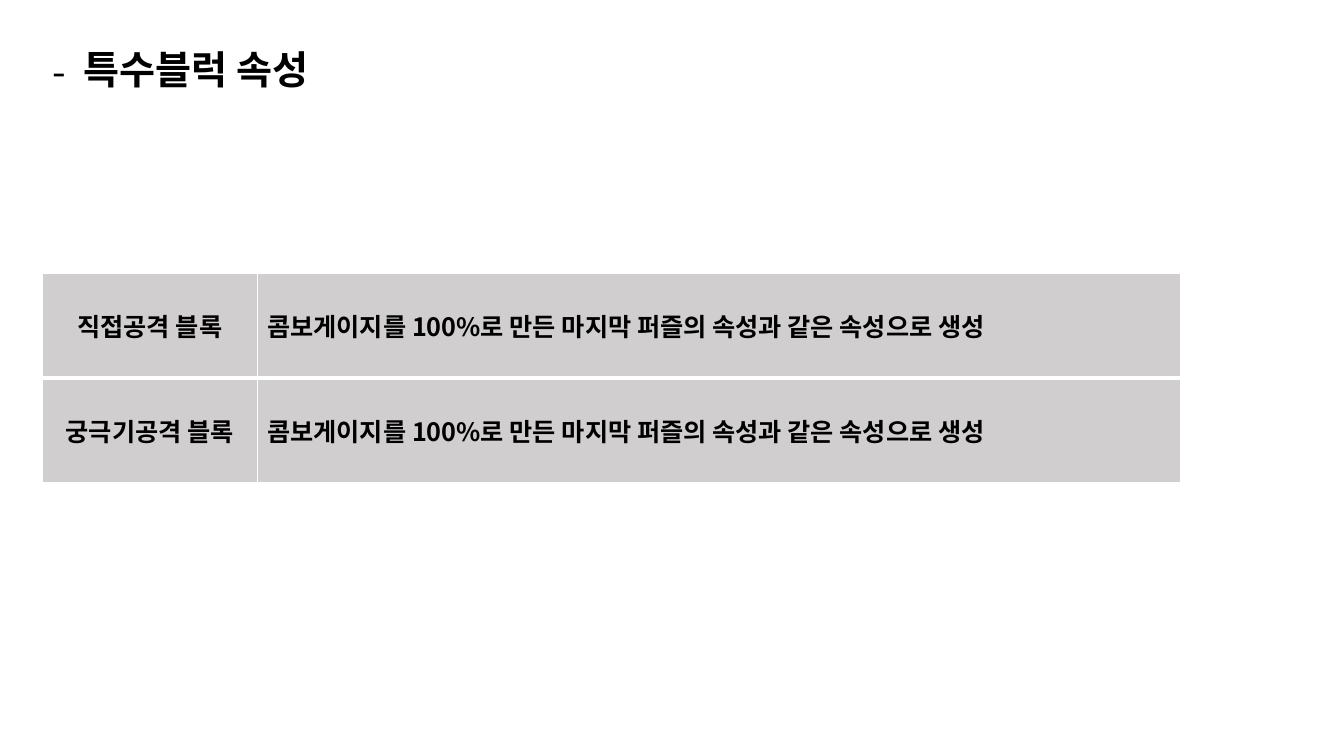
from dataclasses import dataclass

from lxml.etree import SubElement, Element
from pptx import Presentation
from pptx.dml.color import RGBColor
from pptx.enum.text import MSO_ANCHOR as Anchor, MSO_AUTO_SIZE as AutoSize, PP_ALIGN as Align
from pptx.oxml.ns import qn
from pptx.slide import Slide
from pptx.table import _Cell as Cell
from pptx.text.text import TextFrame, _Paragraph as Paragraph
from pptx.util import Cm, Pt


@dataclass(frozen=True)
class Theme:
    font: str = "Noto Sans CJK KR"
    text: str = "000000"
    cell: str = "D0CECE"
    border: str = "FFFFFF"
    title_size: int = 28
    body_size: int = 18
    thin: int = 1
    thick: int = 3


@dataclass(frozen=True)
class BlockRule:
    name: str
    rule: str


THEME = Theme()
SAME_ATTRIBUTE = "콤보게이지를 100%로 만든 마지막 퍼즐의 속성과 같은 속성으로 생성"
BLOCK_RULES = [
    BlockRule("직접공격 블록", SAME_ATTRIBUTE),
    BlockRule("궁극기공격 블록", SAME_ATTRIBUTE),
]
LEFT = Cm(1.07)
COLUMN_WIDTHS = [Cm(5.41), Cm(23.27)]
ROW_HEIGHT = Cm(2.64)


def write_text(frame: TextFrame, text: str, *, size: int, align: Align = Align.LEFT) -> Paragraph:
    paragraph = frame.paragraphs[0]
    paragraph.alignment = align
    run = paragraph.add_run()
    run.text = text
    run.font.name = THEME.font
    run.font.size = Pt(size)
    run.font.bold = True
    run.font.color.rgb = RGBColor.from_string(THEME.text)
    SubElement(run.font._element, qn("a:ea"), typeface=THEME.font)
    return paragraph


def add_dash_bullet(paragraph: Paragraph, indent: int) -> None:
    properties = paragraph._p.get_or_add_pPr()
    properties.set("marL", str(indent))
    properties.set("indent", str(-indent))
    SubElement(properties, qn("a:buFont"), typeface=THEME.font)
    SubElement(properties, qn("a:buChar"), char="-")


def set_borders(cell: Cell, *, top: int, bottom: int) -> None:
    properties = cell._tc.get_or_add_tcPr()
    widths = {"a:lnL": THEME.thin, "a:lnR": THEME.thin, "a:lnT": top, "a:lnB": bottom}
    for position, (side, width) in enumerate(widths.items()):
        line = Element(qn(side), w=str(Pt(width)))
        fill = SubElement(line, qn("a:solidFill"))
        SubElement(fill, qn("a:srgbClr"), val=THEME.border)
        properties.insert(position, line)


def add_title(slide: Slide, text: str) -> None:
    title = slide.shapes.title
    title.left, title.top, title.width, title.height = LEFT, Cm(1.14), Cm(31.47), Cm(1.45)
    frame = title.text_frame
    frame.word_wrap = True
    frame.auto_size = AutoSize.SHAPE_TO_FIT_TEXT
    frame.vertical_anchor = Anchor.TOP
    paragraph = write_text(frame, text, size=THEME.title_size)
    paragraph.line_spacing = 0.9
    add_dash_bullet(paragraph, Cm(0.79))


def add_rule_table(slide: Slide, rules: list[BlockRule]) -> None:
    table = slide.shapes.add_table(
        len(rules), len(COLUMN_WIDTHS), LEFT, Cm(6.88),
        sum(COLUMN_WIDTHS), ROW_HEIGHT * len(rules),
    ).table
    table.first_row = table.horz_banding = False
    for column, width in zip(table.columns, COLUMN_WIDTHS):
        column.width = width

    for row_index, block in enumerate(rules):
        table.rows[row_index].height = ROW_HEIGHT
        # The first row is set apart by a thick line below it
        top = THEME.thick if row_index == 1 else THEME.thin
        bottom = THEME.thick if row_index == 0 else THEME.thin
        entries = [(block.name, Align.CENTER), (block.rule, Align.LEFT)]
        for column_index, (text, align) in enumerate(entries):
            cell = table.cell(row_index, column_index)
            cell.vertical_anchor = Anchor.MIDDLE
            cell.fill.solid()
            cell.fill.fore_color.rgb = RGBColor.from_string(THEME.cell)
            set_borders(cell, top=top, bottom=bottom)
            write_text(cell.text_frame, text, size=THEME.body_size, align=align)


def main() -> None:
    presentation = Presentation()
    presentation.slide_width, presentation.slide_height = Cm(33.87), Cm(19.05)
    title_only = presentation.slide_layouts[5]
    slide = presentation.slides.add_slide(title_only)

    # Heading
    add_title(slide, "특수블럭 속성")

    # Block rules
    add_rule_table(slide, BLOCK_RULES)

    presentation.save("out.pptx")


if __name__ == "__main__":
    main()
